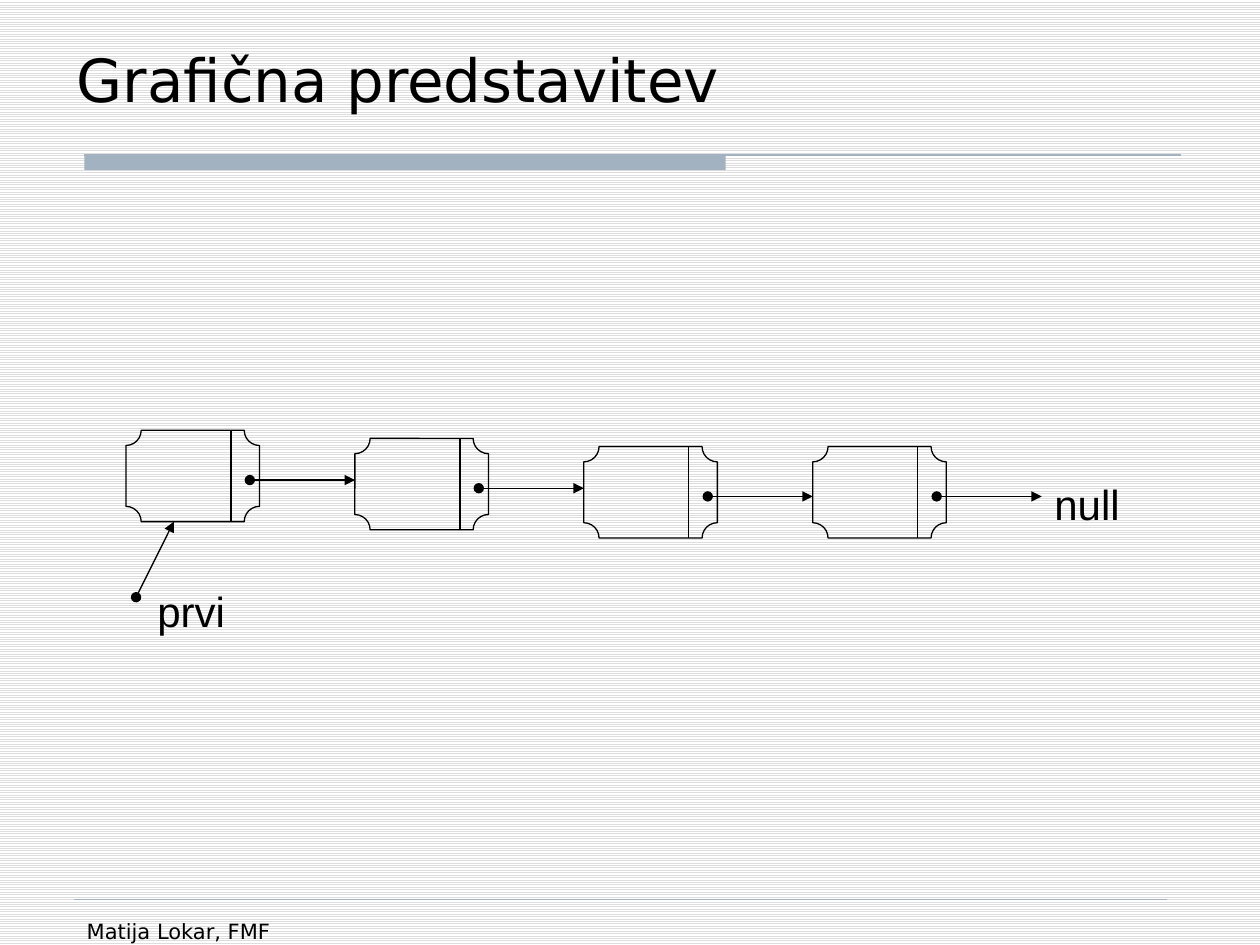
from dataclasses import dataclass

from lxml import etree
from pptx import Presentation
from pptx.dml.color import RGBColor
from pptx.enum.dml import MSO_PATTERN
from pptx.enum.shapes import MSO_CONNECTOR, MSO_SHAPE
from pptx.enum.text import MSO_ANCHOR, MSO_AUTO_SIZE, PP_ALIGN
from pptx.oxml.ns import qn
from pptx.util import Inches, Pt

STRIPES = MSO_PATTERN.LIGHT_HORIZONTAL
STRAIGHT = MSO_CONNECTOR.STRAIGHT
RECTANGLE, PLAQUE = MSO_SHAPE.RECTANGLE, MSO_SHAPE.PLAQUE
TOP, BOTTOM = MSO_ANCHOR.TOP, MSO_ANCHOR.BOTTOM
NO_AUTOFIT = MSO_AUTO_SIZE.NONE
LEFT = PP_ALIGN.LEFT
COLUMNS, ROWS = 100, 75


@dataclass(frozen=True)
class Theme:
    ink: RGBColor = RGBColor(0, 0, 0)
    accent: RGBColor = RGBColor(0xA3, 0xB2, 0xC1)
    stripe: RGBColor = RGBColor(0xDD, 0xDD, 0xDD)
    paper: RGBColor = RGBColor(0xFF, 0xFF, 0xFF)
    heading_font: str = "DejaVu Sans"
    label_font: str = "Arial"
    title_size: float = 34
    label_size: float = 24
    footer_size: float = 12
    line_width: float = 0.75
    hairline: float = 0.25


class Drawing:
    def __init__(self, presentation, theme):
        self.theme = theme
        self.column = presentation.slide_width / COLUMNS
        self.row = presentation.slide_height / ROWS
        self.slide = presentation.slides.add_slide(presentation.slide_layouts[5])
        background = self.slide.background.fill
        background.patterned()
        background.pattern = STRIPES
        background.fore_color.rgb = theme.stripe
        background.back_color.rgb = theme.paper

    def place(self, *lengths):
        units = (self.column, self.row) * 2
        return [round(length * unit) for length, unit in zip(lengths, units)]

    def set_text(self, shape, text, font, size, anchor=TOP):
        frame = shape.text_frame
        frame.text = text
        frame.word_wrap = True
        frame.auto_size = NO_AUTOFIT
        frame.vertical_anchor = anchor
        paragraph = frame.paragraphs[0]
        paragraph.alignment = LEFT
        for run in paragraph.runs:
            run.font.name = font
            run.font.size = Pt(size)
            run.font.color.rgb = self.theme.ink

    def title(self, text, *box):
        shape = self.slide.shapes.title
        shape.left, shape.top, shape.width, shape.height = self.place(*box)
        self.set_text(shape, text, self.theme.heading_font, self.theme.title_size, BOTTOM)

    def label(self, text, box, font, size):
        shape = self.slide.shapes.add_textbox(*self.place(*box))
        self.set_text(shape, text, font, size)

    def bar(self, *box):
        shape = self.slide.shapes.add_shape(RECTANGLE, *self.place(*box))
        shape.shadow.inherit = False
        shape.fill.solid()
        shape.fill.fore_color.rgb = self.theme.accent
        shape.line.fill.background()

    def plaque(self, *box):
        shape = self.slide.shapes.add_shape(PLAQUE, *self.place(*box))
        shape.shadow.inherit = False
        shape.adjustments[0] = 0.167
        shape.fill.background()
        shape.line.color.rgb = self.theme.ink
        shape.line.width = Pt(self.theme.line_width)

    def line(self, start, end, color=None, width=None):
        connector = self.slide.shapes.add_connector(STRAIGHT, *self.place(*start, *end))
        connector.line.color.rgb = color or self.theme.ink
        connector.line.width = Pt(width or self.theme.line_width)
        etree.SubElement(connector._element.spPr, qn("a:effectLst"))
        return connector

    def pointer(self, start, end):
        outline = self.line(start, end)._element.spPr.find(qn("a:ln"))
        for tag, kind in (("a:headEnd", "oval"), ("a:tailEnd", "triangle")):
            etree.SubElement(outline, qn(tag), type=kind)

    def node(self, left, top):
        width, height, divider = 10.6, 7.25, 8.33
        self.plaque(left, top, width, height)
        self.line((left + divider, top), (left + divider, top + height))
        self.pointer((left + 9.83, top + 3.95), (left + NODE_STEP, top + 3.95))


NODE_STEP = 18.17
NODE_TOPS = (34.15, 34.8, 35.45, 35.45)

presentation = Presentation()
presentation.slide_width, presentation.slide_height = Inches(10), Inches(7.5)
theme = Theme()
drawing = Drawing(presentation, theme)

drawing.bar(6.7, 12.3, 50.9, 1.2)
drawing.line((6.7, 12.3), (93.7, 12.3), theme.accent)
drawing.line((5.9, 71.4), (92.6, 71.4), theme.accent, theme.hairline)
drawing.title("Grafična predstavitev", 5.1, 2.1, 87.5, 7.5)
drawing.label("Matija Lokar, FMF", (5.9, 72.4, 21.7, 5.2), theme.heading_font, theme.footer_size)

for index, top in enumerate(NODE_TOPS):
    drawing.node(10 + index * NODE_STEP, top)
drawing.pointer((10.8, 47.4), (13.8, 41.4))

for text, box in (("prvi", (11.5, 46, 14.4, 5)), ("null", (82.7, 37.5, 9.8, 5))):
    drawing.label(text, box, theme.label_font, theme.label_size)

presentation.save("out.pptx")
